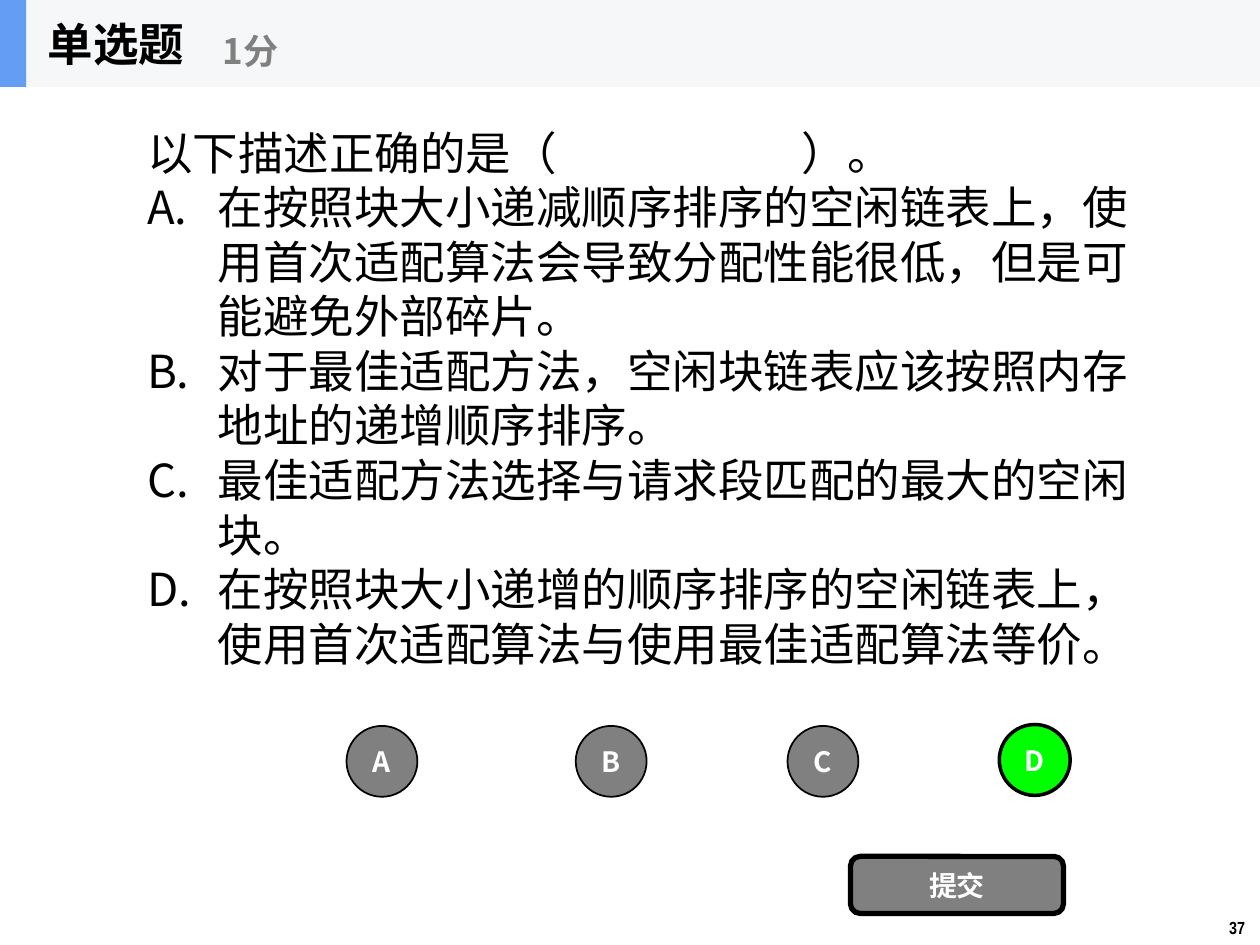
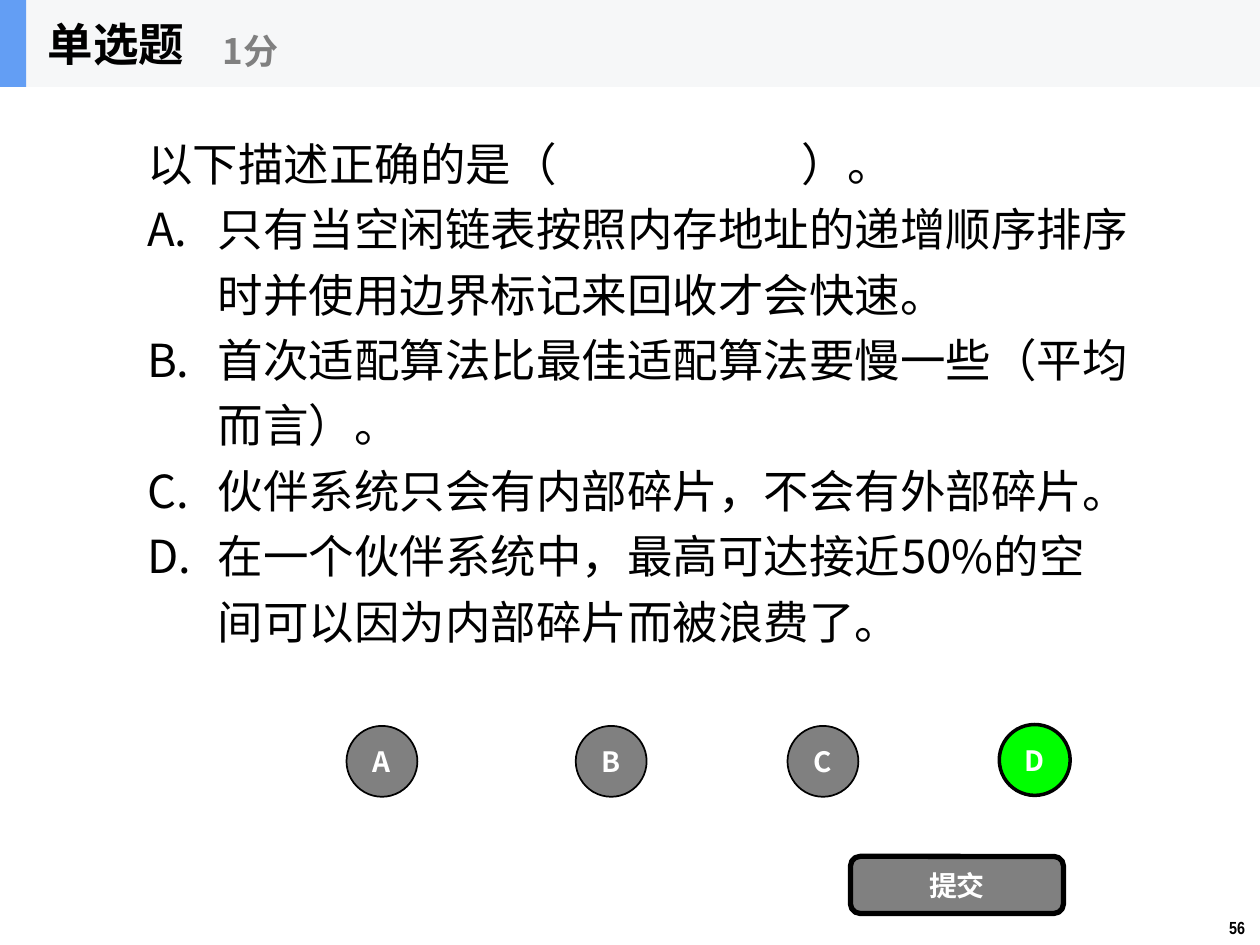
from lxml import etree
from pptx import Presentation
from pptx import util as u
from pptx.dml.color import RGBColor
from pptx.enum import shapes, text
from pptx.oxml import ns

Pt = u.Pt
COLOURS = {"band": "F6F7F8", "accent": "639EF4", "ink": "000000",
           "grey": "808080", "right": "00FF00", "white": "FFFFFF"}
CJK, NARROW = "Noto Sans CJK SC", "Arial Narrow"
WIDTH, HEIGHT, BAND_HEIGHT = 720, 540, 49.7
INDENT, BLANK_END = 40.3, 374
CIRCLE = 40.5
CIRCLE_LEFTS = {"A": 198, "B": 329, "C": 450, "D": 571}


def colour(name):
    return RGBColor.from_string(COLOURS[name])


def add_xml(parent, tag, **attributes):
    return etree.SubElement(parent, ns.qn(tag), attributes)


class QuizDeck:
    """Holds the quiz style and the page being drawn."""

    def __init__(self):
        self.deck = Presentation()
        self.deck.slide_width, self.deck.slide_height = Pt(WIDTH), Pt(HEIGHT)
        self.page = None

    def format_spans(self, box, size, ink="ink", bold=False, font=CJK):
        for para in box.text_frame.paragraphs:
            for span in para.runs:
                span.font.size, span.font.bold = Pt(size), bold
                span.font.color.rgb = colour(ink)
                span.font.name = font
                add_xml(span.font._element, "a:ea", typeface=font)

    def shape(self, kind, left, top, width, height, fill, line=0, label=""):
        box = self.page.shapes.add_shape(
            kind, Pt(left), Pt(top), Pt(width), Pt(height))
        box.shadow.inherit = False
        box.fill.solid()
        box.fill.fore_color.rgb = colour(fill)
        if line:
            box.line.color.rgb = colour("ink")
            box.line.width = Pt(line)
        else:
            box.line.fill.background()
        if label:
            frame = box.text_frame
            frame.text = label
            frame.margin_left = frame.margin_right = 0
            frame.vertical_anchor = text.MSO_ANCHOR.MIDDLE
            frame.paragraphs[0].alignment = text.PP_ALIGN.CENTER
            self.format_spans(box, 16, "white", bold=True)

    def label(self, words, left, top, width, height, wrap=False):
        box = self.page.shapes.add_textbox(
            Pt(left), Pt(top), Pt(width), Pt(height))
        box.text_frame.word_wrap = wrap
        box.text_frame.text = words
        return box

    def header(self, title, points):
        rectangle = shapes.MSO_SHAPE.RECTANGLE
        self.shape(rectangle, 0, 0, WIDTH, BAND_HEIGHT, "band")
        self.shape(rectangle, 0, 0, 15, BAND_HEIGHT, "accent")
        # The title comes in front of the bands
        box = self.page.shapes.title
        box.element.getparent().append(box.element)
        box.left, box.top = Pt(20.2), 0
        box.width, box.height = Pt(150), Pt(BAND_HEIGHT)
        frame = box.text_frame
        frame.text = title
        frame.auto_size = text.MSO_AUTO_SIZE.NONE
        frame.word_wrap = False
        frame.vertical_anchor = text.MSO_ANCHOR.MIDDLE
        frame.paragraphs[0].alignment = text.PP_ALIGN.LEFT
        self.format_spans(box, 26, bold=True)
        # Points awarded
        box = self.label(points, 120.2, 8.6, 180, 40.3)
        box.text_frame.vertical_anchor = text.MSO_ANCHOR.MIDDLE
        self.format_spans(box, 20, "grey", bold=True)

    def question(self, stem, options, spacing):
        box = self.label("\n".join([stem, *options]), 77, 67.7, 576, 310.3,
                         wrap=True)
        first, *rest = box.text_frame.paragraphs
        for para in (first, *rest):
            para.line_spacing = spacing
        # The answer blank ends at a tab stop
        stops = add_xml(first._p.get_or_add_pPr(), "a:tabLst")
        add_xml(stops, "a:tab", pos=str(Pt(BLANK_END)), algn="l")
        for para in rest:
            layout = para._p.get_or_add_pPr()
            layout.set("marL", str(Pt(INDENT)))
            layout.set("indent", str(-Pt(INDENT)))
            add_xml(layout, "a:buFont", typeface=CJK)
            add_xml(layout, "a:buAutoNum", type="alphaUcPeriod")
        self.format_spans(box, 26)

    def answers(self, right):
        for letter, left in CIRCLE_LEFTS.items():
            chosen = letter == right
            self.shape(shapes.MSO_SHAPE.OVAL, left, 414 if chosen else 414.8,
                       CIRCLE, CIRCLE, "right" if chosen else "grey",
                       2 if chosen else 1, letter)
        self.shape(shapes.MSO_SHAPE.ROUNDED_RECTANGLE, 486, 489.4, 121.7, 32.6,
                   "grey", 3, "提交")

    def page_number(self, number):
        box = self.label(str(number), 695.3, 520.6, 24.7, 19.4)
        self.format_spans(box, 10, bold=True, font=NARROW)

    def quiz(self, number, options, right, spacing=1.0):
        self.page = self.deck.slides.add_slide(self.deck.slide_layouts[5])
        self.header("单选题", "1分")
        self.question("以下描述正确的是（\t）。", options, spacing)
        self.answers(right)
        self.page_number(number)


quiz_deck = QuizDeck()

# Free-list ordering and fit methods
quiz_deck.quiz(37, [
    "在按照块大小递减顺序排序的空闲链表上，使用首次适配算法会导致分配性能很低，但是可能避免外部碎片。",
    "对于最佳适配方法，空闲块链表应该按照内存地址的递增顺序排序。",
    "最佳适配方法选择与请求段匹配的最大的空闲块。",
    "在按照块大小递增的顺序排序的空闲链表上，使用首次适配算法与使用最佳适配算法等价。",
], right="D")

# Fragmentation and the buddy system
quiz_deck.quiz(56, [
    "只有当空闲链表按照内存地址的递增顺序排序时并使用边界标记来回收才会快速。",
    "首次适配算法比最佳适配算法要慢一些（平均而言）。",
    "伙伴系统只会有内部碎片，不会有外部碎片。",
    "在一个伙伴系统中，最高可达接近50%的空间可以因为内部碎片而被浪费了。",
], right="D", spacing=1.2)

quiz_deck.deck.save("out.pptx")
